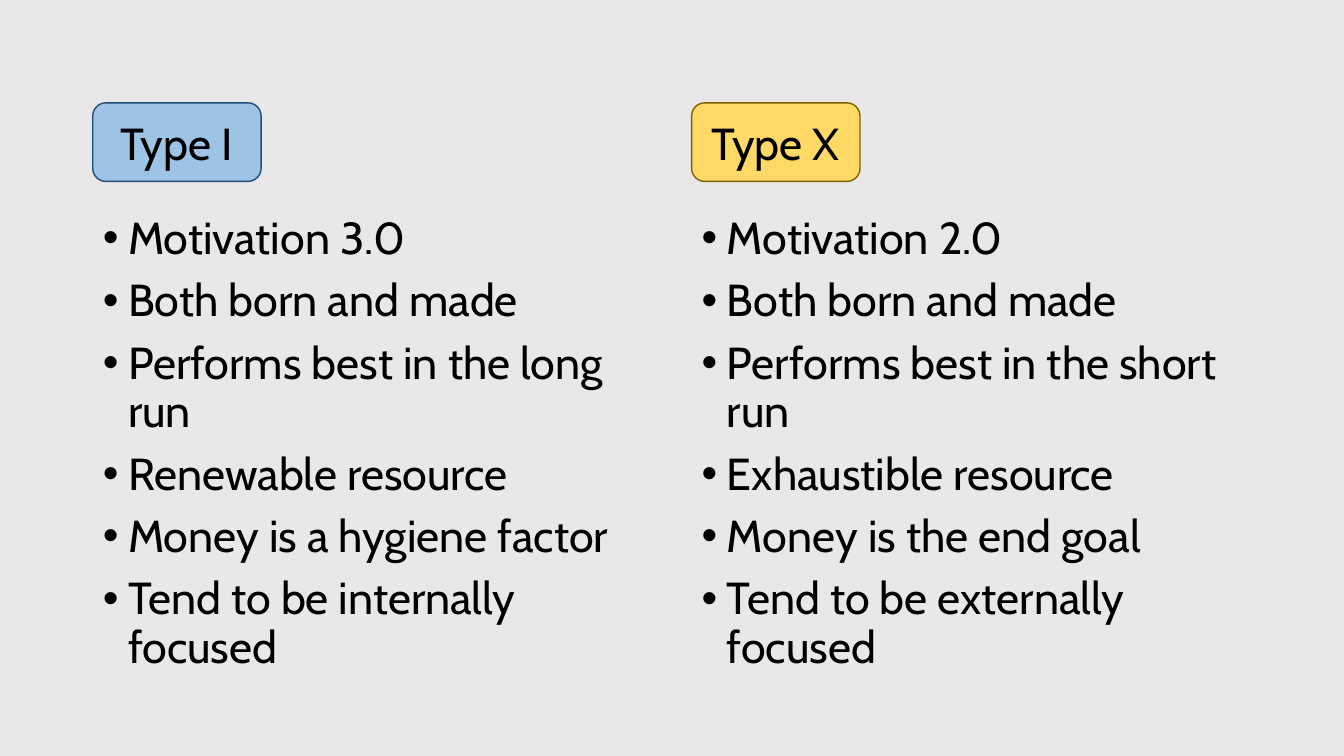
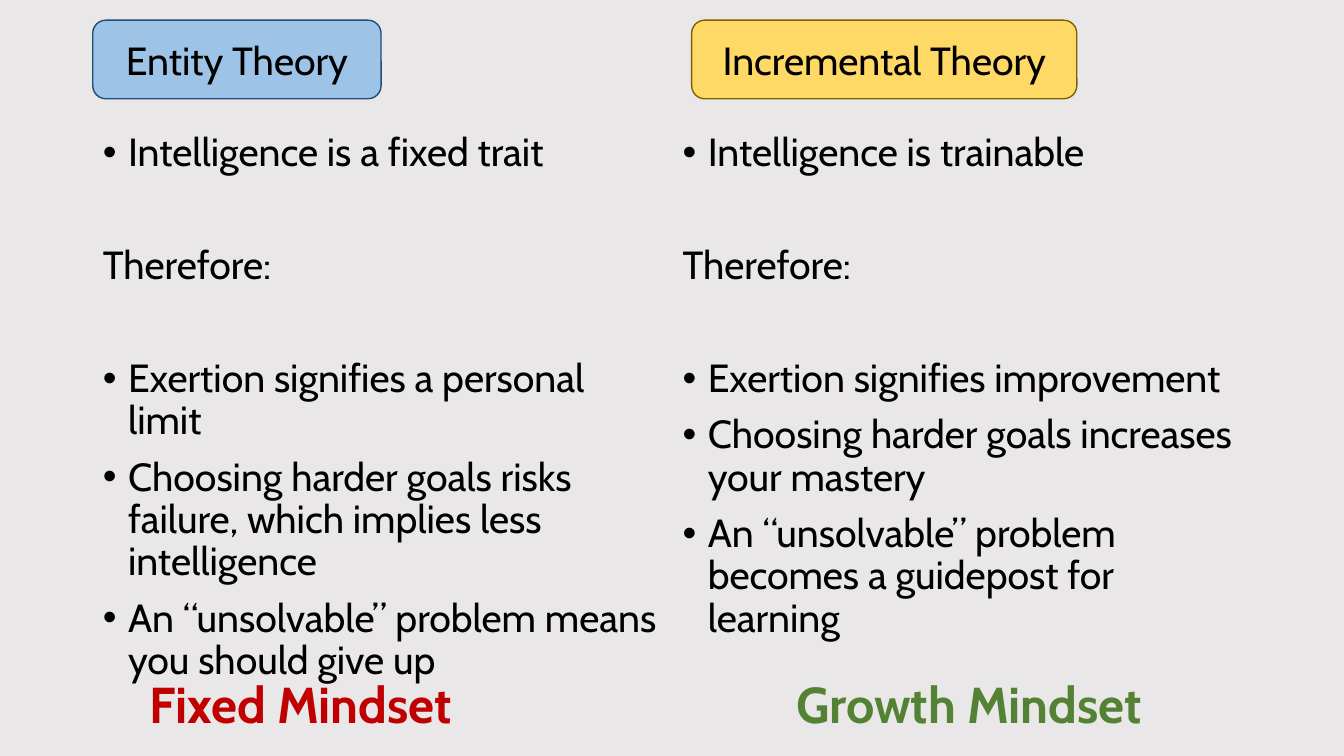
"""Build two slides that compare motivation types and theories of intelligence."""

from dataclasses import dataclass
from typing import Optional

import lxml.etree
import pptx
import pptx.dml.color
import pptx.enum.shapes
import pptx.enum.text
import pptx.oxml.ns
import pptx.shapes.placeholder
import pptx.slide
import pptx.text.text
import pptx.util

Inches = pptx.util.Inches
Pt = pptx.util.Pt
RGBColor = pptx.dml.color.RGBColor

BACKGROUND = RGBColor(0xE9, 0xE7, 0xE7)
BLACK = RGBColor(0x00, 0x00, 0x00)
BLUE = RGBColor(0x9D, 0xC3, 0xE6)
DARK_BLUE = RGBColor(0x1F, 0x4E, 0x79)
GOLD = RGBColor(0xFF, 0xD9, 0x66)
DARK_GOLD = RGBColor(0x80, 0x60, 0x00)
RED = RGBColor(0xC0, 0x00, 0x00)
GREEN = RGBColor(0x54, 0x82, 0x35)

FONT = "Cabin"
TWO_CONTENT_LAYOUT = 3
LEFT_COLUMN, RIGHT_COLUMN = 0.92, 6.86
LABEL_HEIGHT = 0.78
LIST_OFFSET = 1.07
LIST_WIDTH, LIST_HEIGHT = 5.75, 5.24
BULLET_INDENT = 0.25
ITEM_GAP = 10
SECTION_GAP = 50.35


@dataclass(frozen=True)
class Item:
    """One paragraph of a list."""

    text: str
    bullet: bool = True
    gap: float = ITEM_GAP


@dataclass(frozen=True)
class Verdict:
    """The coloured conclusion below a column."""

    text: str
    color: RGBColor
    left: float
    width: float


@dataclass(frozen=True)
class Column:
    """A label with its list and an optional conclusion."""

    label: str
    label_left: float
    label_width: float
    fill: RGBColor
    outline: RGBColor
    list_left: float
    items: tuple[Item, ...]
    verdict: Optional[Verdict] = None


@dataclass(frozen=True)
class Comparison:
    """The content of one slide."""

    top: float
    size: float
    columns: tuple[Column, Column]


def theory_items(trait: str, *effects: str) -> tuple[Item, ...]:
    """Return a trait, the word that leads on, and the effects."""
    first, *others = effects
    return (
        Item(trait),
        Item("Therefore:", bullet=False, gap=SECTION_GAP),
        Item(first, gap=SECTION_GAP),
        *(Item(text) for text in others),
    )


COMPARISONS = (
    Comparison(1.02, 32, (
        Column("Type I", LEFT_COLUMN, 1.67, BLUE, DARK_BLUE, LEFT_COLUMN, (
            Item("Motivation 3.0"),
            Item("Both born and made"),
            Item("Performs best in the long run"),
            Item("Renewable resource"),
            Item("Money is a hygiene factor"),
            Item("Tend to be internally focused"),
        )),
        Column("Type X", RIGHT_COLUMN, 1.67, GOLD, DARK_GOLD, RIGHT_COLUMN, (
            Item("Motivation 2.0"),
            Item("Both born and made"),
            Item("Performs best in the short run"),
            Item("Exhaustible resource"),
            Item("Money is the end goal"),
            Item("Tend to be externally focused"),
        )),
    )),
    Comparison(0.2, 28, (
        Column("Entity Theory", LEFT_COLUMN, 2.86, BLUE, DARK_BLUE, LEFT_COLUMN, theory_items(
            "Intelligence is a fixed trait",
            "Exertion signifies a personal limit",
            "Choosing harder goals risks failure, which implies less intelligence",
            "An “unsolvable” problem means you should give up",
        ), Verdict("Fixed Mindset", RED, 1.38, 3.49)),
        Column("Incremental Theory", RIGHT_COLUMN, 3.82, GOLD, DARK_GOLD, 6.67, theory_items(
            "Intelligence is trainable",
            "Exertion signifies improvement",
            "Choosing harder goals increases your mastery",
            "An “unsolvable” problem becomes a guidepost for learning",
        ), Verdict("Growth Mindset", GREEN, 7.8, 4.01)),
    )),
)


def add_run(paragraph: pptx.text.text._Paragraph, text: str, size: float,
            color: RGBColor = BLACK, bold: bool = False) -> None:
    """Add one formatted run to a paragraph."""
    run = paragraph.add_run()
    run.text = text
    run.font.name = FONT
    run.font.size = Pt(size)
    run.font.bold = bold
    run.font.color.rgb = color


def set_bullet(paragraph: pptx.text.text._Paragraph, bullet: bool) -> None:
    """Give a paragraph a hanging bullet, or none."""
    properties = paragraph._p.get_or_add_pPr()
    indent = Inches(BULLET_INDENT) if bullet else 0
    properties.set("marL", str(indent))
    properties.set("indent", str(-indent))
    if bullet:
        font = lxml.etree.SubElement(properties, pptx.oxml.ns.qn("a:buFont"))
        font.set("typeface", "Arial")
        character = lxml.etree.SubElement(properties, pptx.oxml.ns.qn("a:buChar"))
        character.set("char", "•")
    else:
        lxml.etree.SubElement(properties, pptx.oxml.ns.qn("a:buNone"))


def fill_list(placeholder: pptx.shapes.placeholder.SlidePlaceholder, column: Column,
              top: float, size: float) -> None:
    """Place a body placeholder and write the items of a column in it."""
    placeholder.left, placeholder.top = Inches(column.list_left), Inches(top)
    placeholder.width, placeholder.height = Inches(LIST_WIDTH), Inches(LIST_HEIGHT)
    frame = placeholder.text_frame
    frame.auto_size = pptx.enum.text.MSO_AUTO_SIZE.NONE
    frame.vertical_anchor = pptx.enum.text.MSO_ANCHOR.TOP
    for index, item in enumerate(column.items):
        paragraph = frame.add_paragraph() if index else frame.paragraphs[0]
        set_bullet(paragraph, item.bullet)
        paragraph.line_spacing = 0.9
        paragraph.space_before = Pt(item.gap if index else 0)
        add_run(paragraph, item.text, size)


def add_label(slide: pptx.slide.Slide, column: Column, top: float, size: float) -> None:
    """Add the rounded label above a column."""
    shape = slide.shapes.add_shape(
        pptx.enum.shapes.MSO_SHAPE.ROUNDED_RECTANGLE, Inches(column.label_left), Inches(top),
        Inches(column.label_width), Inches(LABEL_HEIGHT))
    shape.shadow.inherit = False
    shape.fill.solid()
    shape.fill.fore_color.rgb = column.fill
    shape.line.color.rgb = column.outline
    shape.line.width = Pt(1)
    shape.text_frame.vertical_anchor = pptx.enum.text.MSO_ANCHOR.MIDDLE
    paragraph = shape.text_frame.paragraphs[0]
    paragraph.alignment = pptx.enum.text.PP_ALIGN.CENTER
    add_run(paragraph, column.label, size)


def add_verdict(slide: pptx.slide.Slide, verdict: Verdict) -> None:
    """Add the conclusion below a column."""
    box = slide.shapes.add_textbox(
        Inches(verdict.left), Inches(6.63), Inches(verdict.width), Inches(0.71))
    box.text_frame.word_wrap = False
    box.text_frame.auto_size = pptx.enum.text.MSO_AUTO_SIZE.SHAPE_TO_FIT_TEXT
    add_run(box.text_frame.paragraphs[0], verdict.text, 36, verdict.color, bold=True)


def add_comparison(presentation: pptx.presentation.Presentation, comparison: Comparison) -> None:
    """Add one slide with two columns."""
    slide = presentation.slides.add_slide(presentation.slide_layouts[TWO_CONTENT_LAYOUT])
    title = slide.shapes.title.element
    title.getparent().remove(title)
    for index, column in enumerate(comparison.columns, start=1):
        fill_list(slide.placeholders[index], column,
                  comparison.top + LIST_OFFSET, comparison.size)
        add_label(slide, column, comparison.top, comparison.size)
        if column.verdict:
            add_verdict(slide, column.verdict)


def main() -> None:
    """Build and save the presentation."""
    presentation = pptx.Presentation()
    presentation.slide_width, presentation.slide_height = Inches(13.33), Inches(7.5)
    background = presentation.slide_master.background.fill
    background.solid()
    background.fore_color.rgb = BACKGROUND
    for comparison in COMPARISONS:
        add_comparison(presentation, comparison)
    presentation.save("out.pptx")


if __name__ == "__main__":
    main()
